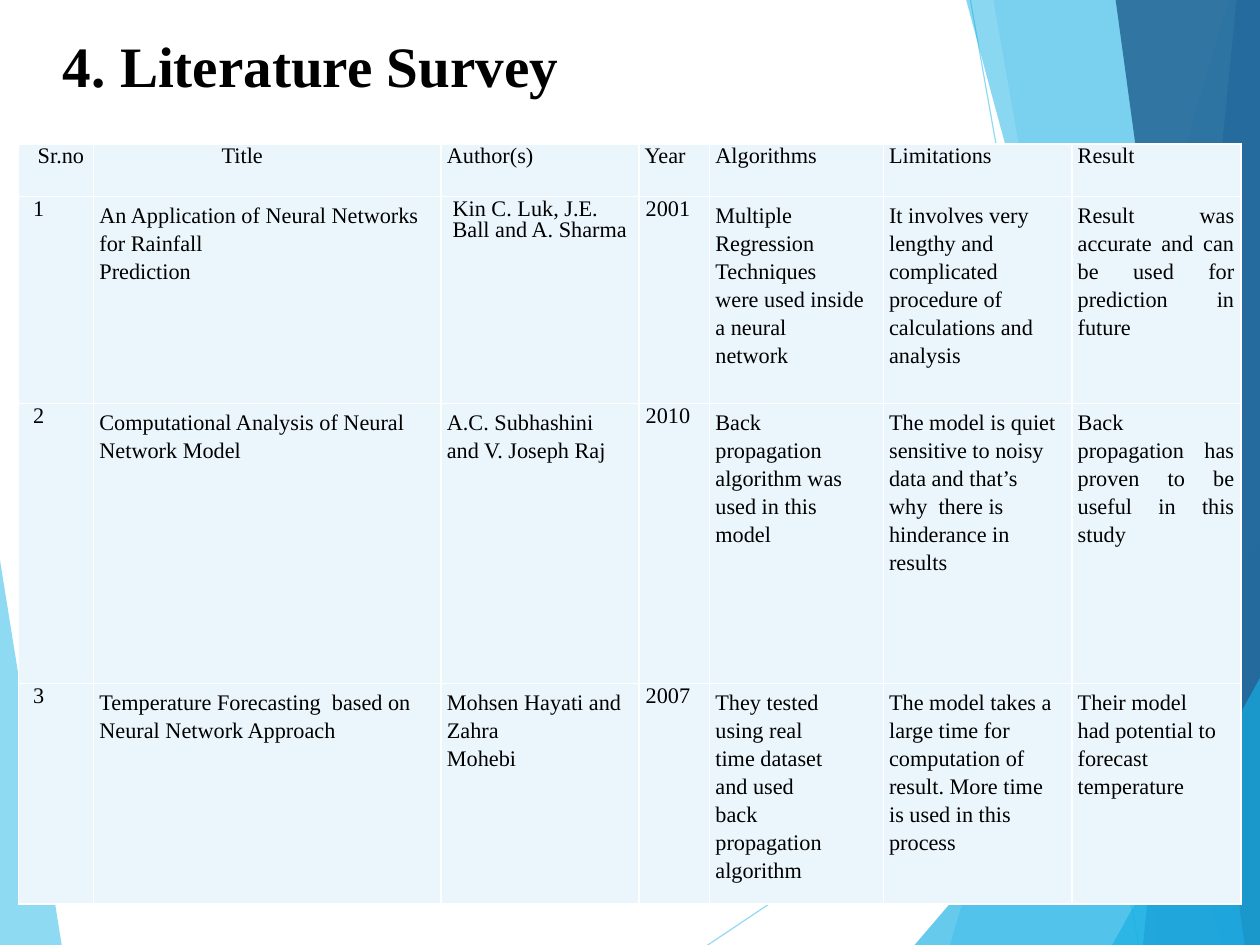
from lxml import etree
from pptx import Presentation
from pptx import util as u
from pptx.dml.color import RGBColor
from pptx.enum import shapes, text
from pptx.oxml import ns

BLACK = RGBColor(0x00, 0x00, 0x00)
WHITE = RGBColor(0xFF, 0xFF, 0xFF)
CELL = RGBColor(0xEA, 0xF6, 0xFC)
SKY = RGBColor(0x5F, 0xCB, 0xEF)
CYAN = RGBColor(0x17, 0xB0, 0xE4)
BLUE = RGBColor(0x2E, 0x83, 0xC3)
NAVY = RGBColor(0x22, 0x62, 0x92)

RIGHT, BOTTOM = 11.03, 8.27
LEFT_FACET = ([(-0.01, 4.84), (0.54, BOTTOM), (-0.01, BOTTOM)], SKY, 70)
RAYS = [((6.19, BOTTOM), (RIGHT, 5.03)), ((8.49, 0), (9.96, BOTTOM))]
FACETS = [
    (10.75, 8.31, 0, SKY, 36),
    (8.69, 10.14, -0.01, SKY, 20),
    (RIGHT, 8, 4.73, CYAN, 66),
    (8.45, 10.69, -0.01, CYAN, 50),
    (10.82, 10, -0.01, BLUE, 70),
    (9.76, 10.89, -0.01, NAVY, 82),
    (RIGHT, 9.73, 5.92, CYAN, 66),
]

COLS = [0.66, 3.04, 1.73, 0.62, 1.52, 1.65, 1.48]
ROWS = [0.46, 1.81, 2.45, 1.93]
SURVEY = [
    ["Sr.no", "Title", "Author(s)", "Year", "Algorithms", "Limitations", "Result"],
    ["1", "An Application of Neural Networks for Rainfall\nPrediction",
     "Kin C. Luk, J.E. Ball and A. Sharma", "2001",
     "Multiple Regression Techniques were used inside a neural network",
     "It involves very lengthy and complicated procedure of calculations and analysis",
     "Result was accurate and can be used for prediction in future"],
    ["2", "Computational Analysis of Neural Network Model",
     "A.C. Subhashini and V. Joseph Raj", "2010",
     "Back propagation algorithm was used in this model",
     "The model is quiet sensitive to noisy data and that’s why  there is hinderance in results",
     "Back propagation has proven to be useful in this study"],
    ["3", "Temperature Forecasting  based on Neural Network Approach",
     "Mohsen Hayati and Zahra\nMohebi", "2007",
     "They tested using real time dataset and used back propagation algorithm",
     "The model takes a large time for computation of result. More time is used in this process",
     "Their model had potential to forecast temperature"],
]
NUMBER, TITLE, AUTHORS, YEAR, ALGORITHMS, RESULT = 0, 1, 2, 3, 4, 6
LEFT_INDENT = {(0, NUMBER): 0.12, (1, AUTHORS): 0.05}
LEFT_INDENT.update({(i, NUMBER): 0.08 for i in (1, 2, 3)})
LEFT_INDENT.update({(i, YEAR): 0.01 for i in (1, 2, 3)})
RIGHT_INDENT = {(0, TITLE): 0.44, (1, ALGORITHMS): 0.12, (3, ALGORITHMS): 0.35,
                (1, RESULT): 0.01, (2, RESULT): 0.01, (3, RESULT): 0.13}
ALIGN = {(0, TITLE): text.PP_ALIGN.CENTER,
         (1, RESULT): text.PP_ALIGN.JUSTIFY,
         (2, RESULT): text.PP_ALIGN.JUSTIFY}


class Deck:
    font = "Times New Roman"

    def __init__(self):
        self.prs = Presentation()
        self.prs.slide_width = u.Cm(28)
        self.prs.slide_height = u.Cm(21)
        self.s = self.prs.slides.add_slide(self.prs.slide_layouts[6])

    def fade(self, fill, percent):
        clr = fill._xPr.find(".//" + ns.qn("a:srgbClr"))
        etree.SubElement(clr, ns.qn("a:alpha"), val=str(percent * 1000))

    def facet(self, points, color, opacity):
        pts = [(u.Inches(x), u.Inches(y)) for x, y in points]
        fb = self.s.shapes.build_freeform(*pts[0])
        fb.add_line_segments(pts[1:], close=True)
        sp = fb.convert_to_shape()
        sp.shadow.inherit = False
        sp.fill.solid()
        sp.fill.fore_color.rgb = color
        self.fade(sp.fill, opacity)
        sp.line.fill.background()

    def ray(self, start, end):
        ends = [u.Inches(v) for v in start + end]
        sp = self.s.shapes.add_connector(shapes.MSO_CONNECTOR.STRAIGHT, *ends)
        sp.line.width = u.Pt(0.75)
        sp.line.color.rgb = SKY
        self.fade(sp.line.fill, 70)
        etree.SubElement(sp._element.spPr, ns.qn("a:effectLst"))

    def style(self, p, size, spacing, bold=False):
        p.line_spacing = spacing
        for r in p.runs:
            r.font.name = self.font
            r.font.size = u.Pt(size)
            r.font.bold = bold
            r.font.color.rgb = BLACK

    def heading(self, words, x, y, w, h):
        sp = self.s.shapes.add_textbox(*map(u.Inches, (x, y, w, h)))
        tf = sp.text_frame
        tf.word_wrap = True
        tf.vertical_anchor = text.MSO_ANCHOR.MIDDLE
        tf.margin_left = tf.margin_right = tf.margin_bottom = 0
        tf.margin_top = u.Inches(0.03)
        tf.text = words
        self.style(tf.paragraphs[0], 36, 0.93, True)

    def borders(self, cell):
        tc_pr = cell._tc.get_or_add_tcPr()
        for i, side in enumerate(("lnL", "lnR", "lnT", "lnB")):
            ln = etree.Element(ns.qn("a:" + side), w=str(u.Pt(1)))
            fill = etree.SubElement(ln, ns.qn("a:solidFill"))
            etree.SubElement(fill, ns.qn("a:srgbClr"), val=str(WHITE))
            tc_pr.insert(i, ln)

    def cell(self, cell, words, key):
        cell.margin_left = cell.margin_right = u.Inches(0.05)
        cell.margin_top = cell.margin_bottom = u.Inches(0.03)
        cell.fill.solid()
        cell.fill.fore_color.rgb = CELL
        self.borders(cell)
        row, col = key
        spacing, right = 1.14, 0.07
        if row == 0 or col == YEAR or key == (1, AUTHORS):
            spacing, right = u.Pt(13.4), 0
        elif col == NUMBER:
            spacing, right = u.Pt(13.7), 0
        cell.text_frame.text = words
        for p in cell.text_frame.paragraphs:
            p.alignment = ALIGN.get(key, text.PP_ALIGN.LEFT)
            p_pr = p._p.get_or_add_pPr()
            p_pr.set("marL", str(u.Inches(LEFT_INDENT.get(key, 0))))
            p_pr.set("marR", str(u.Inches(RIGHT_INDENT.get(key, right))))
            self.style(p, 14, spacing)

    def table(self, rows, x, y):
        box = map(u.Inches, (x, y, sum(COLS), sum(ROWS)))
        tbl = self.s.shapes.add_table(len(ROWS), len(COLS), *box).table
        tbl.first_row = tbl.horz_banding = False
        for column, w in zip(tbl.columns, COLS):
            column.width = u.Inches(w)
        for i, (h, row) in enumerate(zip(ROWS, rows)):
            tbl.rows[i].height = u.Inches(h)
            for j, words in enumerate(row):
                self.cell(tbl.cell(i, j), words, (i, j))


def main():
    deck = Deck()
    deck.facet(*LEFT_FACET)
    for start, end in RAYS:
        deck.ray(start, end)
    for top_x, bottom_x, top, color, opacity in FACETS:
        corners = [(top_x, top), (bottom_x, BOTTOM), (RIGHT, BOTTOM)]
        if top_x < RIGHT:
            corners.append((RIGHT, top))
        deck.facet(corners, color, opacity)
    deck.heading("4. Literature Survey", 0.55, -0.11, 9.92, 1.38)
    deck.table(SURVEY, 0.16, 1.26)
    deck.prs.save("out.pptx")


if __name__ == "__main__":
    main()
